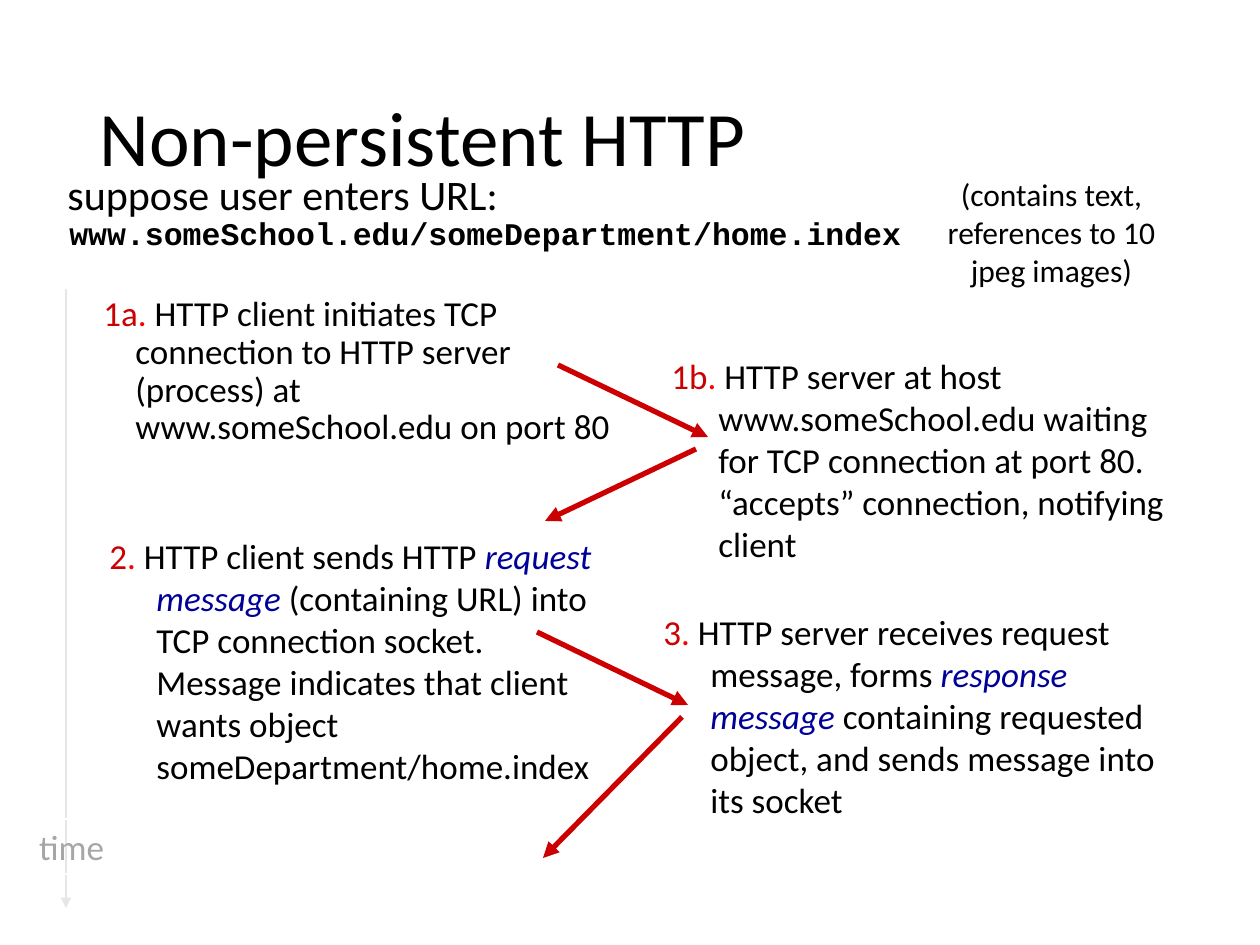
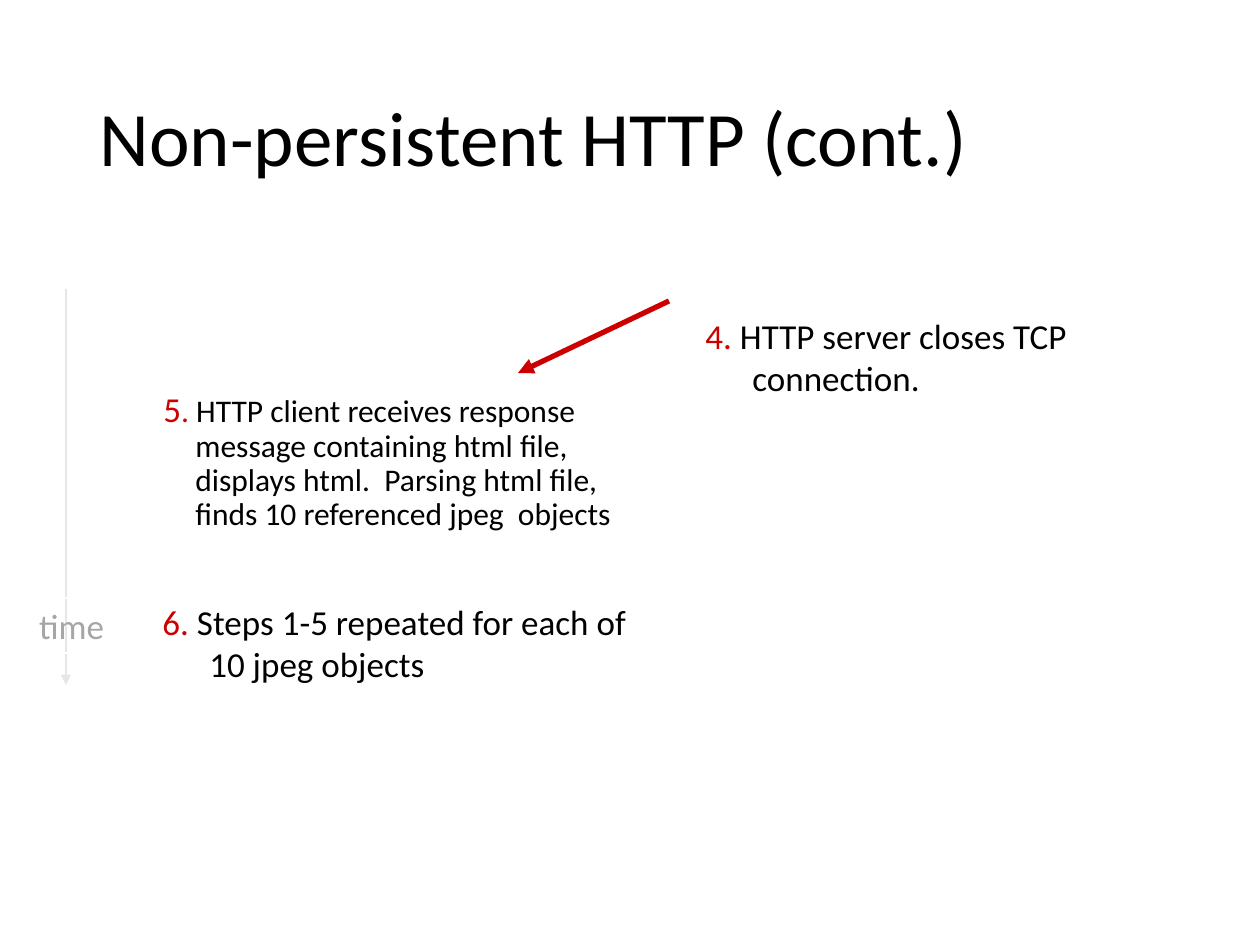
"""Build two slides on the exchange of messages in non-persistent HTTP."""
from lxml import etree
from pptx import Presentation
from pptx.dml.color import RGBColor
from pptx.enum.shapes import MSO_CONNECTOR, MSO_SHAPE
from pptx.enum.text import MSO_ANCHOR, MSO_AUTO_SIZE, PP_ALIGN
from pptx.oxml.ns import qn
from pptx.util import Emu, Pt

STRAIGHT = MSO_CONNECTOR.STRAIGHT
RECTANGLE = MSO_SHAPE.RECTANGLE
MIDDLE = MSO_ANCHOR.MIDDLE
NO_FIT = MSO_AUTO_SIZE.NONE
LEFT, CENTER = PP_ALIGN.LEFT, PP_ALIGN.CENTER

BLACK = RGBColor(0x00, 0x00, 0x00)
WHITE = RGBColor(0xFF, 0xFF, 0xFF)
CRIMSON = RGBColor(0xCC, 0x00, 0x00)
RED = RGBColor(0xFF, 0x00, 0x00)
NAVY = RGBColor(0x00, 0x00, 0x99)
PALE_GRAY = RGBColor(0xE7, 0xE6, 0xE6)
MID_GRAY = RGBColor(0xA6, 0xA6, 0xA6)

BODY_FONT, CODE_FONT = "Calibri", "Courier New"
EMU_PER_PX = 914400 / 126
SLIDE_SIZE = (1260, 945)
TITLE_BOX = (87, 50, 1086, 183)
TIME_AXIS_X, TIME_AXIS_TOP = 66, 289
TIME_LABEL_LEFT, TIME_LABEL_SIZE = 25, (93, 55)
STEP_WIDTH = 525
NARROW_INDENT, WIDE_INDENT = 32, 47

SLIDES = [
    {
        "title": "Non-persistent HTTP",
        "time_axis": {"bottom": 908, "label_top": 819},
        "intro": [
            {"box": (55, 168, 1095, 64), "indent": NARROW_INDENT, "spacing": 0.9,
             "lines": ["suppose user enters URL:"], "size": 24},
            {"box": (57, 214, 1095, 64), "indent": WIDE_INDENT, "spacing": 0.85,
             "lines": ["www.someSchool.edu/someDepartment/home.index"],
             "size": 18, "font": CODE_FONT, "bold": True},
            {"box": (930, 169, 243, 127), "align": CENTER, "wrap": False, "size": 18,
             "lines": ["(contains text,", "references to 10", "jpeg images)"]},
        ],
        "steps": [
            {"box": (91, 290, 543, 262), "indent": NARROW_INDENT, "spacing": 0.9,
             "number": "1a", "dot": RED,
             "text": [" HTTP client initiates TCP connection to HTTP server (process) at "
                      "www.someSchool.edu on port 80"]},
            {"box": (659, 348, STEP_WIDTH, 208), "number": "1b", "dot": RED,
             "text": [" HTTP server at host www.someSchool.edu waiting for TCP connection "
                      "at port 80. “accepts” connection, notifying client"]},
            {"box": (97, 528, STEP_WIDTH, 149), "number": "2", "dot": RED,
             "text": [" HTTP client sends HTTP ", "request message",
                      " (containing URL) into TCP connection socket. Message indicates "
                      "that client wants object someDepartment/home.index"]},
            {"box": (651, 604, STEP_WIDTH, 248), "number": "3", "dot": RED,
             "text": [" HTTP server receives request message, forms ", "response message",
                      " containing requested object, and sends message into its socket"]},
        ],
        "messages": [(558, 365, 708, 437), (696, 449, 545, 521),
                     (537, 632, 688, 705), (682, 717, 543, 858)],
    },
    {
        "title": "Non-persistent HTTP (cont.)",
        "time_axis": {"bottom": 685, "label_top": 598},
        "intro": [],
        "steps": [
            {"box": (693, 308, STEP_WIDTH, 101), "number": "4",
             "text": [" HTTP server closes TCP connection."]},
            {"box": (151, 386, STEP_WIDTH, 212), "indent": NARROW_INDENT, "spacing": 0.9,
             "number": "5", "size": 18,
             "text": [" HTTP client receives response message containing html file, "
                      "displays html.  Parsing html file, finds 10 referenced jpeg  objects"]},
            {"box": (150, 594, STEP_WIDTH, 92), "number": "6",
             "text": [" Steps 1-5 repeated for each of 10 jpeg objects"]},
        ],
        "messages": [(669, 301, 518, 373)],
    },
]


def px(length):
    return Emu(round(length * EMU_PER_PX))


def style(font, size, color=BLACK, name=BODY_FONT, bold=False, italic=False):
    font.name, font.size, font.bold, font.italic = name, Pt(size), bold, italic
    font.color.rgb = color


def set_hanging_indent(paragraph, indent):
    properties = paragraph._p.get_or_add_pPr()
    properties.set("marL", str(px(indent)))
    properties.set("indent", str(-px(indent)))


def add_title(slide, text):
    title = slide.shapes.title
    title.left, title.top, title.width, title.height = map(px, TITLE_BOX)
    frame = title.text_frame
    frame.text = text
    frame.auto_size, frame.vertical_anchor = NO_FIT, MIDDLE
    heading = frame.paragraphs[0]
    heading.alignment, heading.line_spacing = LEFT, 0.9
    style(heading.runs[0].font, 44)


def add_text_frame(slide, box, wrap=True):
    frame = slide.shapes.add_textbox(*map(px, box)).text_frame
    frame.word_wrap = wrap
    return frame


def add_intro(slide, intro):
    frame = add_text_frame(slide, intro["box"], intro.get("wrap", True))
    frame.text = "\n".join(intro["lines"])
    for paragraph in frame.paragraphs:
        paragraph.alignment = intro.get("align", LEFT)
        paragraph.line_spacing = intro.get("spacing", 1.0)
        set_hanging_indent(paragraph, intro.get("indent", 0))
        style(paragraph.runs[0].font, intro["size"],
              name=intro.get("font", BODY_FONT), bold=intro.get("bold", False))


def add_step(slide, step):
    paragraph = add_text_frame(slide, step["box"]).paragraphs[0]
    paragraph.line_spacing = step.get("spacing", 1.0)
    set_hanging_indent(paragraph, step.get("indent", WIDE_INDENT))
    size = step.get("size", 20)
    parts = [(step["number"], 20, CRIMSON, False),
             (".", size, step.get("dot", CRIMSON), False)]
    for position, text in enumerate(step["text"]):
        is_term = position % 2 == 1
        parts.append((text, size, NAVY if is_term else BLACK, is_term))
    for text, part_size, color, italic in parts:
        run = paragraph.add_run()
        run.text = text
        style(run.font, part_size, color, italic=italic)


def add_arrow(slide, ends, color, width):
    arrow = slide.shapes.add_connector(STRAIGHT, *map(px, ends))
    arrow.line.color.rgb, arrow.line.width = color, Pt(width)
    etree.SubElement(arrow.line._get_or_add_ln(), qn("a:tailEnd"), type="triangle")
    etree.SubElement(arrow._element.spPr, qn("a:effectLst"))


def add_time_axis(slide, bottom, label_top):
    add_arrow(slide, (TIME_AXIS_X, TIME_AXIS_TOP, TIME_AXIS_X, bottom), PALE_GRAY, 1.5)
    label_box = (TIME_LABEL_LEFT, label_top, *TIME_LABEL_SIZE)
    label = slide.shapes.add_shape(RECTANGLE, *map(px, label_box))
    label.shadow.inherit = False
    label.fill.background()
    label.line.color.rgb, label.line.width = WHITE, Pt(0.75)
    frame = label.text_frame
    frame.text, frame.word_wrap = "time", False
    frame.paragraphs[0].alignment = CENTER
    style(frame.paragraphs[0].runs[0].font, 20, MID_GRAY)


def main():
    deck = Presentation()
    deck.slide_width, deck.slide_height = map(px, SLIDE_SIZE)
    title_only = deck.slide_layouts.get_by_name("Title Only")
    for content in SLIDES:
        slide = deck.slides.add_slide(title_only)
        add_title(slide, content["title"])
        for intro in content["intro"]:
            add_intro(slide, intro)
        for step in content["steps"]:
            add_step(slide, step)
        for ends in content["messages"]:
            add_arrow(slide, ends, CRIMSON, 3)
        add_time_axis(slide, **content["time_axis"])
    deck.save("out.pptx")


if __name__ == "__main__":
    main()
